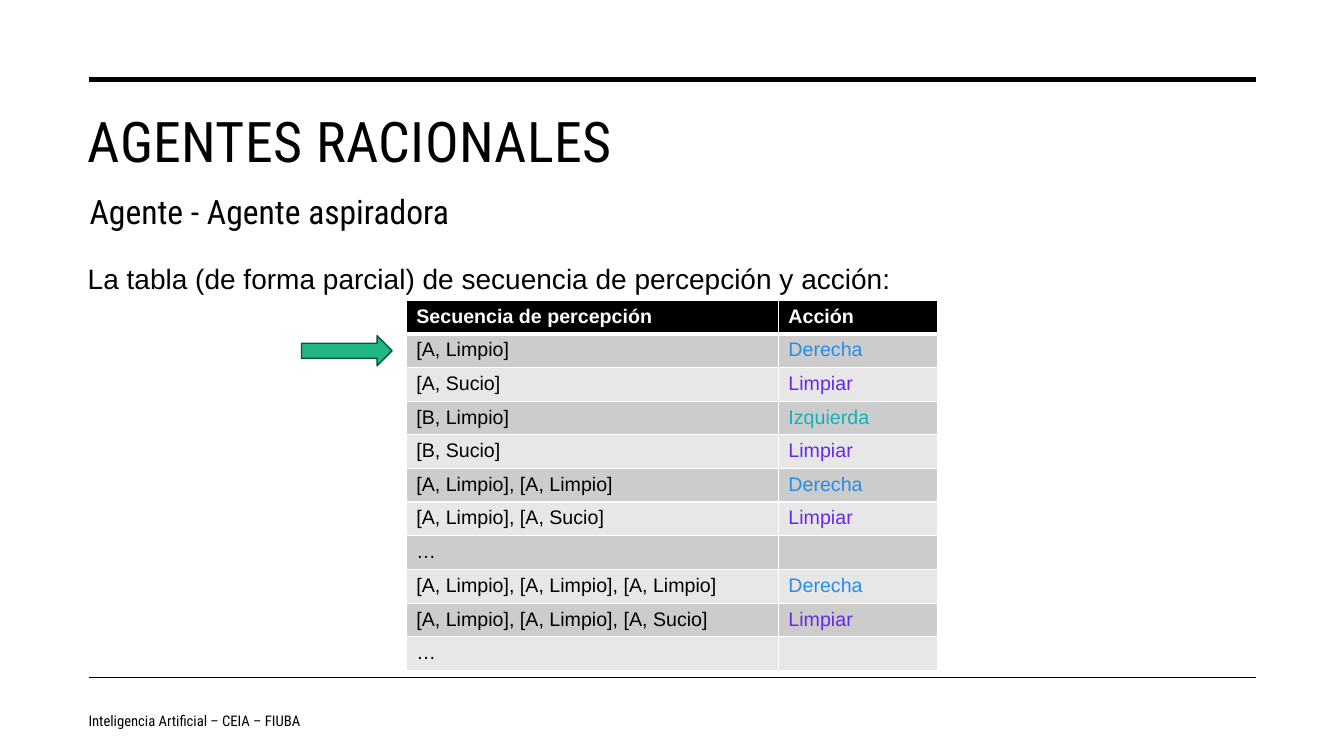
from dataclasses import dataclass

from lxml import etree
from pptx import Presentation
from pptx.dml.color import RGBColor
from pptx.enum.shapes import MSO_CONNECTOR, MSO_SHAPE
from pptx.enum.text import MSO_ANCHOR, MSO_AUTO_SIZE, PP_ALIGN
from pptx.oxml.ns import qn
from pptx.util import Inches, Pt

TOP, MIDDLE = MSO_ANCHOR.TOP, MSO_ANCHOR.MIDDLE
LEFT = PP_ALIGN.LEFT
NO_FIT = MSO_AUTO_SIZE.NONE
STRAIGHT, ARROW = MSO_CONNECTOR.STRAIGHT, MSO_SHAPE.RIGHT_ARROW

TITLE = "AGENTES RACIONALES"
SUBTITLE = "Agente - Agente aspiradora"
INTRO = "La tabla (de forma parcial) de secuencia de percepción y acción:"
FOOTER = "Inteligencia Artificial – CEIA – FIUBA"
ROWS = [
    ("Secuencia de percepción", "Acción"),
    ("[A, Limpio]", "Derecha"),
    ("[A, Sucio]", "Limpiar"),
    ("[B, Limpio]", "Izquierda"),
    ("[B, Sucio]", "Limpiar"),
    ("[A, Limpio], [A, Limpio]", "Derecha"),
    ("[A, Limpio], [A, Sucio]", "Limpiar"),
    ("…", ""),
    ("[A, Limpio], [A, Limpio], [A, Limpio]", "Derecha"),
    ("[A, Limpio], [A, Limpio], [A, Sucio]", "Limpiar"),
    ("…", ""),
]


@dataclass(frozen=True)
class Theme:
    heading: str = "Roboto Condensed"
    text: str = "Arial"
    ink: str = "000000"
    paper: str = "FFFFFF"
    bands: tuple = ("E7E7E7", "CCCCCC")
    arrow: str = "21B782"
    arrow_edge: str = "0E5039"
    title_size: float = 40
    subtitle_size: float = 24
    intro_size: float = 20
    cell_size: float = 14
    footer_size: float = 10.5


THEME = Theme()
ACTION_COLORS = {"Derecha": "298CE7", "Limpiar": "6529E7", "Izquierda": "14B1BC"}

# Lengths in inches
WIDTH, HEIGHT = 13.33, 7.5
RULE_LEFT, RULE_RIGHT = 0.88, 12.46
RULES = [(0.79, 3.5), (6.72, 1)]
BODY_LEFT, BODY_WIDTH = 0.77, 11.69
TABLE_LEFT, TABLE_TOP, TABLE_HEIGHT = 4.03, 2.98, 3.67
COLUMNS = (3.69, 1.58)
ROW_HEIGHT = TABLE_HEIGHT / len(ROWS)
ARROW_WIDTH, ARROW_HEIGHT, ARROW_GAP = 0.9, 0.3, 0.14


def color(code):
    return RGBColor.from_string(code)


def apply(target, values):
    for name, value in values.items():
        setattr(target, name, value)


def write(frame, text, font, size, ink=THEME.ink, bold=False, **layout):
    para = frame.paragraphs[0]
    apply(para, {"alignment": LEFT, **layout})
    if not text:
        etree.SubElement(para._p, qn("a:endParaRPr"), sz=str(int(size * 100)))
        return None
    span = para.add_run()
    span.text = text
    apply(span.font, {"name": font, "size": Pt(size), "bold": bold})
    span.font.color.rgb = color(ink)
    return span


def place(shape, left, top, width, height, anchor=TOP):
    apply(shape, {"left": Inches(left), "top": Inches(top),
                  "width": Inches(width), "height": Inches(height)})
    apply(shape.text_frame, {"word_wrap": True, "auto_size": NO_FIT,
                             "vertical_anchor": anchor})
    return shape.text_frame


def add_box(page, *bounds, anchor=TOP):
    return place(page.shapes.add_textbox(0, 0, 0, 0), *bounds, anchor=anchor)


def add_rule(page, y, weight):
    rule = page.shapes.add_connector(STRAIGHT, Inches(RULE_LEFT), Inches(y),
                                     Inches(RULE_RIGHT), Inches(y))
    rule.line.color.rgb = color(THEME.ink)
    rule.line.width = Pt(weight)
    etree.SubElement(rule._element.spPr, qn("a:effectLst"))


def add_borders(cell, row):
    """Draw white cell edges, thicker between the header and the first row."""
    weights = {"L": 1, "R": 1, "T": 3 if row == 1 else 1, "B": 3 if row == 0 else 1}
    for side, weight in weights.items():
        edge = etree.SubElement(cell._tc.get_or_add_tcPr(), qn(f"a:ln{side}"),
                                w=str(Pt(weight)))
        fill = etree.SubElement(edge, qn("a:solidFill"))
        etree.SubElement(fill, qn("a:srgbClr"), val=THEME.paper)


def add_table(page):
    table = page.shapes.add_table(
        len(ROWS), len(COLUMNS), Inches(TABLE_LEFT), Inches(TABLE_TOP),
        Inches(sum(COLUMNS)), Inches(TABLE_HEIGHT)).table
    for column, width in zip(table.columns, COLUMNS):
        column.width = Inches(width)
    for r, texts in enumerate(ROWS):
        table.rows[r].height = Inches(ROW_HEIGHT)
        header = r == 0
        for c, text in enumerate(texts):
            cell = table.cell(r, c)
            add_borders(cell, r)
            cell.fill.solid()
            cell.fill.fore_color.rgb = color(THEME.ink if header else THEME.bands[r % 2])
            ink = THEME.paper if header else ACTION_COLORS.get(text, THEME.ink)
            write(cell.text_frame, text, THEME.text, THEME.cell_size, ink, header)


def add_row_arrow(page, row):
    middle = TABLE_TOP + (row + 0.5) * ROW_HEIGHT
    arrow = page.shapes.add_shape(
        ARROW, Inches(TABLE_LEFT - ARROW_GAP - ARROW_WIDTH),
        Inches(middle - ARROW_HEIGHT / 2), Inches(ARROW_WIDTH), Inches(ARROW_HEIGHT))
    arrow.shadow.inherit = False
    arrow.fill.solid()
    arrow.fill.fore_color.rgb = color(THEME.arrow)
    arrow.line.color.rgb = color(THEME.arrow_edge)
    arrow.line.width = Pt(1)


def main():
    deck = Presentation()
    deck.slide_width, deck.slide_height = Inches(WIDTH), Inches(HEIGHT)
    page = deck.slides.add_slide(deck.slide_layouts[1])
    for y, weight in RULES:
        add_rule(page, y, weight)

    title = place(page.shapes.title, BODY_LEFT, 1.01, BODY_WIDTH, 1.5)
    span = write(title, TITLE, THEME.heading, THEME.title_size)
    span.font._element.set("spc", "30")

    footer = add_box(page, 0.78, 6.95, 4.96, 0.4, anchor=MIDDLE)
    write(footer, FOOTER, THEME.heading, THEME.footer_size, space_after=Pt(6))

    body = place(page.placeholders[1], BODY_LEFT, 2.51, BODY_WIDTH, 3.98)
    properties = body.paragraphs[0]._p.get_or_add_pPr()
    apply_indent = {"marL": "0", "indent": "0"}
    for name, value in apply_indent.items():
        properties.set(name, value)
    etree.SubElement(properties, qn("a:buNone"))
    write(body, INTRO, THEME.text, THEME.intro_size, line_spacing=1.1, space_before=Pt(0))

    subtitle = add_box(page, 0.79, 1.84, 8.38, 0.5)
    write(subtitle, SUBTITLE, THEME.heading, THEME.subtitle_size)

    add_table(page)
    add_row_arrow(page, row=1)
    deck.save("out.pptx")


if __name__ == "__main__":
    main()
